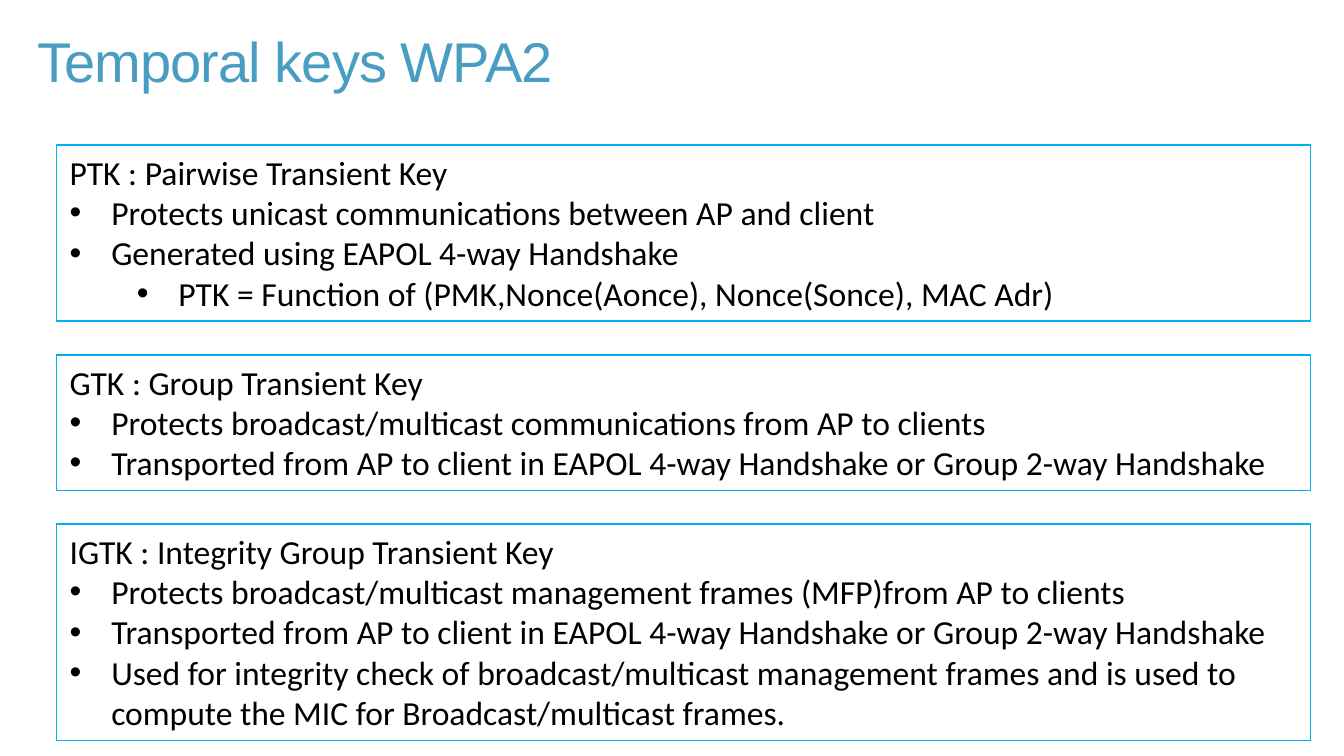
import pptx
import pptx.util
import pptx.dml.color
import pptx.enum.shapes
import pptx.enum.text
import lxml.etree
import pptx.oxml.ns

Inches, Pt = pptx.util.Inches, pptx.util.Pt
RGB = pptx.dml.color.RGBColor
TEXT = pptx.enum.text

BLUE = RGB(0x49, 0x9C, 0xC2)
CYAN = RGB(0x00, 0xB0, 0xF0)
BLACK = RGB(0, 0, 0)

# Content: each key has a heading and (level, text) points
TITLE = "Temporal keys WPA2"
SENT = "Transported from AP to client in EAPOL 4-way Handshake or Group 2-way Handshake"
KEYS = [
    {"head": "PTK : Pairwise Transient Key", "lines": 4, "points": [
        (0, "Protects unicast communications between AP and client"),
        (0, "Generated using EAPOL 4-way Handshake"),
        (1, "PTK = Function of (PMK,Nonce(Aonce), Nonce(Sonce), MAC Adr)")]},
    {"head": "GTK : Group Transient Key", "lines": 3, "points": [
        (0, "Protects broadcast/multicast communications from AP to clients"),
        (0, SENT)]},
    {"head": "IGTK : Integrity Group Transient Key", "lines": 5, "points": [
        (0, "Protects broadcast/multicast management frames (MFP)from AP to clients"),
        (0, SENT),
        (0, "Used for integrity check of broadcast/multicast management frames "
            "and is used to compute the MIC for Broadcast/multicast frames.")]},
]

# Layout in inches, on a 16:9 slide
WIDE = 10
HIGH = WIDE * 9 / 16
LEFT, TOP, SPAN = 0.42, 1.08, 9.33
LINE, PAD, GAP = 0.3, 0.11, 0.25
HANG, STEP = 0.31, 0.5


def style(para, name, size, color):
    para.alignment = TEXT.PP_ALIGN.LEFT
    para.font.name = name
    para.font.size = Pt(size)
    para.font.color.rgb = color


def bullet(para, level):
    para.level = level
    props = para._p.get_or_add_pPr()
    props.set("marL", str(Inches(HANG + STEP * level)))
    props.set("indent", str(-Inches(HANG)))
    font = lxml.etree.SubElement(props, pptx.oxml.ns.qn("a:buFont"))
    font.set("typeface", "Arial")
    mark = lxml.etree.SubElement(props, pptx.oxml.ns.qn("a:buChar"))
    mark.set("char", "•")


def add_key(slide, key, top, height):
    box = slide.shapes.add_shape(
        pptx.enum.shapes.MSO_SHAPE.RECTANGLE,
        Inches(LEFT), Inches(top), Inches(SPAN), Inches(height))
    box.shadow.inherit = False
    box.fill.background()
    box.line.color.rgb = CYAN
    box.line.width = Pt(0.75)
    frame = box.text_frame
    frame.word_wrap = True
    frame.vertical_anchor = TEXT.MSO_ANCHOR.TOP
    para = frame.paragraphs[0]
    para.text = key["head"]
    style(para, "Calibri", 18, BLACK)
    for level, text in key["points"]:
        para = frame.add_paragraph()
        para.text = text
        bullet(para, level)
        style(para, "Calibri", 18, BLACK)


def main():
    deck = pptx.Presentation()
    deck.slide_width, deck.slide_height = Inches(WIDE), Inches(HIGH)
    slide = deck.slides.add_slide(deck.slide_layouts[5])

    # Title
    title = slide.shapes.title
    title.left, title.top = Inches(0.26), Inches(0.18)
    title.width, title.height = Inches(4.67), Inches(0.53)
    frame = title.text_frame
    frame.text = TITLE
    frame.auto_size = TEXT.MSO_AUTO_SIZE.NONE
    frame.vertical_anchor = TEXT.MSO_ANCHOR.TOP
    frame.margin_left = frame.margin_top = Inches(0.02)
    frame.margin_right = frame.margin_bottom = 0
    para = frame.paragraphs[0]
    style(para, "Arial", 30, BLUE)
    para.runs[0]._r.get_or_add_rPr().set("spc", "-50")

    # Key boxes, stacked by their line counts
    top = TOP
    for key in KEYS:
        height = PAD + LINE * key["lines"]
        add_key(slide, key, top, height)
        top += height + GAP

    deck.save("out.pptx")


if __name__ == "__main__":
    main()
